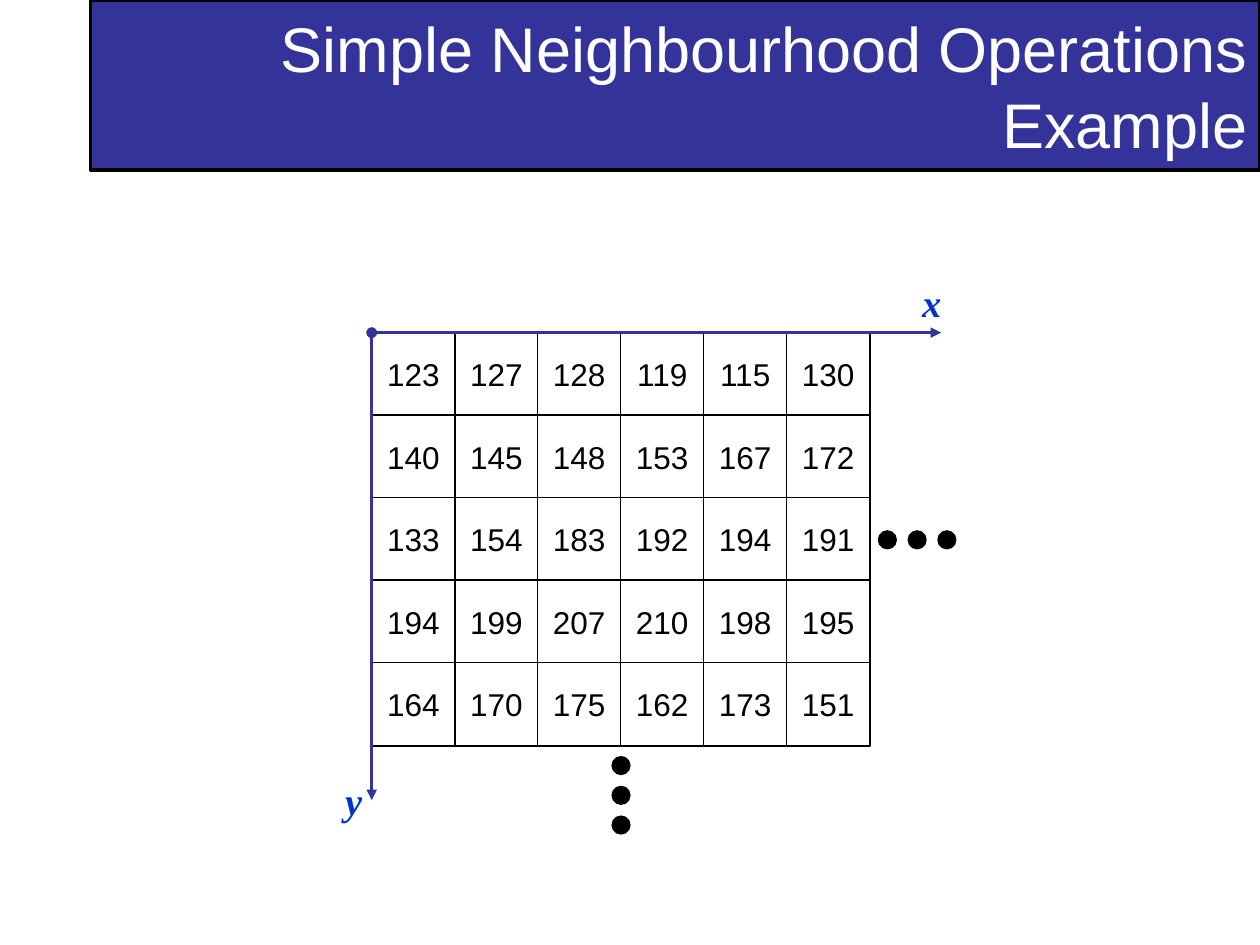
"""Build the slide showing a grid of pixel values with image axes."""
from dataclasses import dataclass

from lxml import etree
from pptx import Presentation
from pptx.dml.color import RGBColor
from pptx.enum import shapes, text
from pptx.oxml import ns
from pptx.util import Pt

BLACK = RGBColor(0x00, 0x00, 0x00)
WHITE = RGBColor(0xFF, 0xFF, 0xFF)
NAVY = RGBColor(0x33, 0x33, 0x99)
BLUE = RGBColor(0x00, 0x33, 0xCC)

PIXELS = [
    [123, 127, 128, 119, 115, 130],
    [140, 145, 148, 153, 167, 172],
    [133, 154, 183, 192, 194, 191],
    [194, 199, 207, 210, 198, 195],
    [164, 170, 175, 162, 173, 151],
]
GRID_X, GRID_Y = 212.4, 190.1
PITCH_X, PITCH_Y = 47.4, 47.1
CELL = 47.6
DOT, DOT_PITCH = 11, 17


@dataclass
class Axis:
    name: str
    end_x: float
    end_y: float
    label_x: float
    label_y: float
    label_w: float


@dataclass
class Ellipsis:
    x: float
    y: float
    dx: float
    dy: float


AXES = [
    Axis("x", 537.8, GRID_Y, 519.8, 156.2, 25.2),
    Axis("y", GRID_X, 457.2, 190.1, 440.6, 23.8),
]
ELLIPSES = [
    Ellipsis(501.6, 303, DOT_PITCH, 0),
    Ellipsis(349.4, 432, 0, DOT_PITCH),
]


def style_run(r, size: float, color: RGBColor, name: str = "Arial") -> None:
    r.font.size = Pt(size)
    r.font.name = name
    r.font.color.rgb = color


def add_title(s, words: str) -> None:
    sp = s.shapes.title
    sp.left, sp.top, sp.width, sp.height = Pt(51.8), Pt(0), Pt(668.2), Pt(97.2)
    sp.fill.solid()
    sp.fill.fore_color.rgb = NAVY
    sp.line.color.rgb = BLACK
    sp.line.width = Pt(2)
    tf = sp.text_frame
    tf.text = words
    tf.auto_size = text.MSO_AUTO_SIZE.NONE
    tf.vertical_anchor = text.MSO_ANCHOR.MIDDLE
    p = tf.paragraphs[0]
    p.alignment = text.PP_ALIGN.RIGHT
    style_run(p.runs[0], 36, WHITE)


def add_cell(s, value: int, row: int, col: int) -> None:
    sp = s.shapes.add_shape(
        shapes.MSO_SHAPE.RECTANGLE,
        Pt(GRID_X + col * PITCH_X), Pt(GRID_Y + row * PITCH_Y), Pt(CELL), Pt(CELL),
    )
    sp.shadow.inherit = False
    sp.fill.solid()
    sp.fill.fore_color.rgb = WHITE
    sp.line.color.rgb = BLACK
    sp.line.width = Pt(1)
    tf = sp.text_frame
    tf.text = str(value)
    tf.word_wrap = False
    tf.vertical_anchor = text.MSO_ANCHOR.MIDDLE
    p = tf.paragraphs[0]
    p.alignment = text.PP_ALIGN.CENTER
    style_run(p.runs[0], 18, BLACK)


def add_axis(s, axis: Axis) -> None:
    cx = s.shapes.add_connector(
        shapes.MSO_CONNECTOR.STRAIGHT,
        Pt(GRID_X), Pt(GRID_Y), Pt(axis.end_x), Pt(axis.end_y),
    )
    cx.line.color.rgb = NAVY
    cx.line.width = Pt(2)
    ln = cx.line._get_or_add_ln()
    etree.SubElement(ln, ns.qn("a:headEnd"), type="oval")
    etree.SubElement(ln, ns.qn("a:tailEnd"), type="triangle")
    etree.SubElement(cx._element.spPr, ns.qn("a:effectLst"))


def add_axis_label(s, axis: Axis) -> None:
    sp = s.shapes.add_textbox(
        Pt(axis.label_x), Pt(axis.label_y), Pt(axis.label_w), Pt(33.8)
    )
    tf = sp.text_frame
    tf.text = axis.name
    tf.word_wrap = False
    r = tf.paragraphs[0].runs[0]
    style_run(r, 22, BLUE, "Times New Roman")
    r.font.bold = r.font.italic = True


def add_ellipsis(s, dots: Ellipsis) -> None:
    for i in range(3):
        sp = s.shapes.add_shape(
            shapes.MSO_SHAPE.OVAL,
            Pt(dots.x + i * dots.dx), Pt(dots.y + i * dots.dy), Pt(DOT), Pt(DOT),
        )
        sp.shadow.inherit = False
        sp.fill.solid()
        sp.fill.fore_color.rgb = BLACK
        sp.line.fill.background()


def main() -> None:
    prs = Presentation()
    prs.slide_width, prs.slide_height = Pt(720), Pt(540)
    s = prs.slides.add_slide(prs.slide_layouts[5])
    add_title(s, "Simple Neighbourhood Operations Example")
    for row, values in enumerate(PIXELS):
        for col, value in enumerate(values):
            add_cell(s, value, row, col)
    for axis in AXES:
        add_axis(s, axis)
    for axis in AXES:
        add_axis_label(s, axis)
    for dots in ELLIPSES:
        add_ellipsis(s, dots)
    prs.save("out.pptx")


if __name__ == "__main__":
    main()
